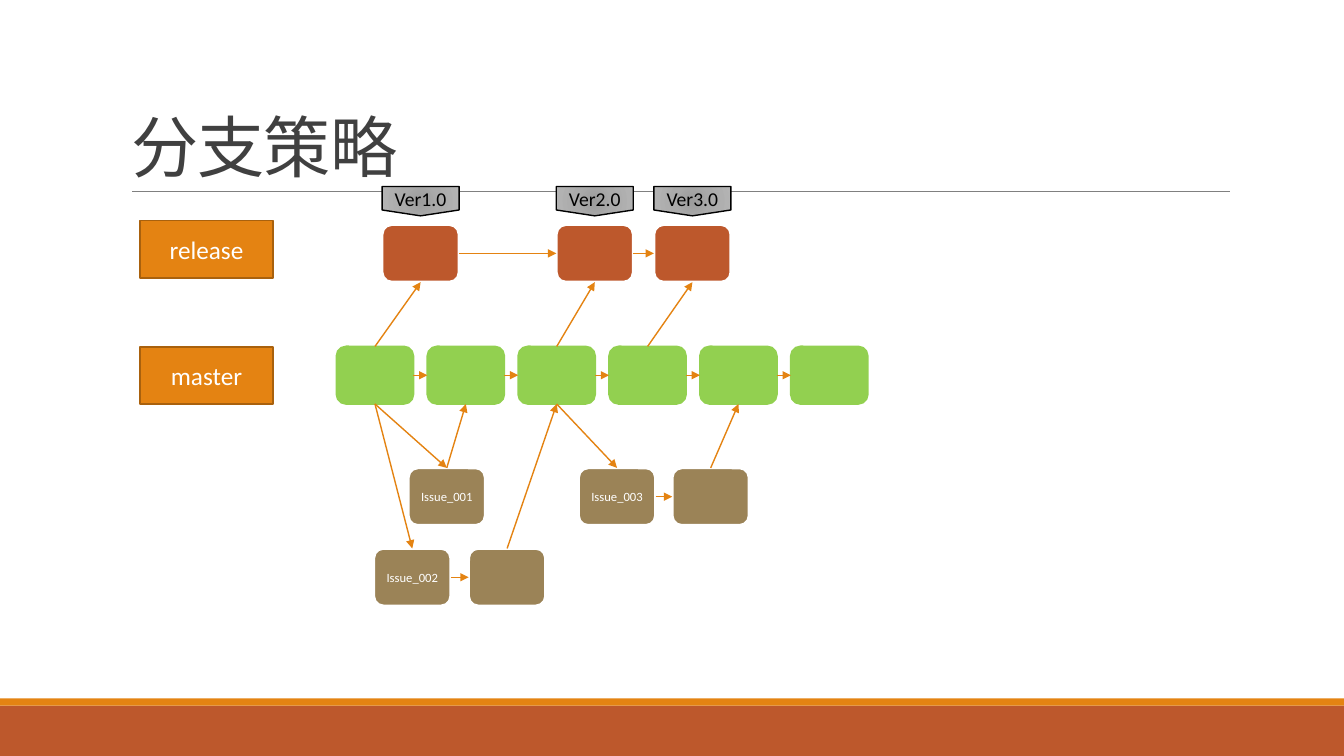
from dataclasses import dataclass

from lxml.etree import SubElement
from pptx import Presentation
from pptx.dml.color import RGBColor
from pptx.enum.shapes import MSO_CONNECTOR as Connector, MSO_SHAPE as Preset
from pptx.enum.text import MSO_ANCHOR as Anchor, PP_ALIGN as Align
from pptx.oxml.ns import qn
from pptx.util import Cm, Pt

COLORS = {
    "orange": "E48312", "orange_edge": "A9610D", "rust": "BD582C",
    "green": "92D050", "brown": "9B8357", "white": "FFFFFF",
    "black": "000000", "title": "404040", "rule": "808080",
}
TAG_GRADIENT = {0: "9C9C9C", 45: "AAAAAA", 100: "B4B4B4"}
FONT = "Calibri"
TOP, LEFT, BOTTOM, RIGHT = range(4)
NODE_WIDTH, NODE_HEIGHT = 1.94, 1.45
RELEASE_TOP, MASTER_TOP, ISSUE_TOP, LOWER_ISSUE_TOP = 5.66, 8.73, 11.79, 13.82
MASTER_LEFT, MASTER_STEP, MASTER_COUNT = 8.48, 2.29, 6


@dataclass
class Box:
    left: float
    top: float
    width: float = NODE_WIDTH
    height: float = NODE_HEIGHT
    preset: Preset = Preset.ROUNDED_RECTANGLE
    fill: str | None = "brown"
    edge: str | None = "white"
    edge_width: float = 2
    text: str = ""
    size: float = 9
    text_color: str = "white"


@dataclass
class Arrow:
    source: str
    source_side: int
    target: str
    target_side: int


def rgb(name: str) -> RGBColor:
    return RGBColor.from_string(COLORS[name])


def fill_with_gradient(shape) -> None:
    shape.fill.gradient()
    gradient = shape._element.spPr.find(qn("a:gradFill"))
    gradient.clear()
    stops = SubElement(gradient, qn("a:gsLst"))
    for position, color in TAG_GRADIENT.items():
        stop = SubElement(stops, qn("a:gs"), pos=str(position * 1000))
        SubElement(stop, qn("a:srgbClr"), val=color)
    circle = SubElement(gradient, qn("a:path"), {"path": "circle"})
    SubElement(circle, qn("a:fillToRect"), {side: "100000" for side in "ltrb"})


def draw_box(slide, box: Box):
    shape = slide.shapes.add_shape(
        box.preset, Cm(box.left), Cm(box.top), Cm(box.width), Cm(box.height))
    shape.shadow.inherit = False
    if box.fill:
        shape.fill.solid()
        shape.fill.fore_color.rgb = rgb(box.fill)
    else:
        fill_with_gradient(shape)
    if box.edge:
        shape.line.color.rgb = rgb(box.edge)
        shape.line.width = Pt(box.edge_width)
    else:
        shape.line.fill.background()
    if box.text:
        frame = shape.text_frame
        frame.text = box.text
        frame.vertical_anchor = Anchor.MIDDLE
        paragraph = frame.paragraphs[0]
        paragraph.alignment = Align.CENTER
        paragraph.font.name = FONT
        paragraph.font.size = Pt(box.size)
        paragraph.font.color.rgb = rgb(box.text_color)
    return shape


def draw_line(slide, start: tuple, end: tuple, color: str, width: float):
    line = slide.shapes.add_connector(
        Connector.STRAIGHT, *(Cm(value) for value in (*start, *end)))
    line.line.color.rgb = rgb(color)
    line.line.width = Pt(width)
    SubElement(line._element.spPr, qn("a:effectLst"))
    return line


def draw_arrow(slide, arrow: Arrow, nodes: dict) -> None:
    line = draw_line(slide, (0, 0), (1, 1), "orange", 1)
    line.begin_connect(nodes[arrow.source], arrow.source_side)
    line.end_connect(nodes[arrow.target], arrow.target_side)
    SubElement(line.line._get_or_add_ln(), qn("a:tailEnd"), type="triangle")


def format_title(title, text: str) -> None:
    title.left, title.top, title.width, title.height = (
        Cm(value) for value in (3.05, 0.79, 27.94, 4.04))
    frame = title.text_frame
    frame.text = text
    frame.vertical_anchor = Anchor.BOTTOM
    paragraph = frame.paragraphs[0]
    paragraph.alignment = Align.LEFT
    paragraph.line_spacing = 0.85
    paragraph.font.name = FONT
    paragraph.font.size = Pt(48)
    paragraph.font.color.rgb = rgb("title")
    paragraph.runs[0]._r.get_or_add_rPr().set("spc", "-50")


def main() -> None:
    presentation = Presentation()
    presentation.slide_width, presentation.slide_height = Cm(33.87), Cm(19.05)
    slide = presentation.slides.add_slide(presentation.slide_layouts[5])

    # Footer bands, title and rule
    draw_box(slide, Box(0, 17.78, 33.87, 1.27, Preset.RECTANGLE, "rust", None))
    draw_box(slide, Box(0, 17.6, 33.87, 0.18, Preset.RECTANGLE, "orange", None))
    draw_line(slide, (3.33, 4.82), (31, 4.82), "rule", 0.5)
    format_title(slide.shapes.title, "分支策略")

    # Branch labels
    for name, top in (("release", 5.56), ("master", 8.74)):
        draw_box(slide, Box(3.53, top, 3.35, 1.45, Preset.RECTANGLE, "orange",
                            "orange_edge", 1.25, name, 18))

    # Commits on each branch
    boxes = {
        f"master{i}": Box(MASTER_LEFT + i * MASTER_STEP, MASTER_TOP,
                          fill="green", edge="green", edge_width=1.25)
        for i in range(MASTER_COUNT)
    }
    release_lefts = (9.63, 14.02, 16.48)
    for number, left in enumerate(release_lefts, 1):
        boxes[f"release{number}"] = Box(left, RELEASE_TOP, fill="rust")
    boxes |= {
        "issue1": Box(10.29, ISSUE_TOP, text="Issue_001"),
        "issue2": Box(9.42, LOWER_ISSUE_TOP, text="Issue_002"),
        "issue2_next": Box(11.81, LOWER_ISSUE_TOP),
        "issue3": Box(14.58, ISSUE_TOP, text="Issue_003"),
        "issue3_next": Box(16.94, ISSUE_TOP),
    }
    nodes = {name: draw_box(slide, box) for name, box in boxes.items()}

    # Version tags above the releases
    for number, left in enumerate(release_lefts, 1):
        draw_box(slide, Box(left, 4.7, NODE_WIDTH, 0.74,
                            Preset.FLOWCHART_OFFPAGE_CONNECTOR, None, "black", 1,
                            f"Ver{number}.0", 14, "black"))

    # Arrows along a branch, then between branches
    along = [(f"master{i}", f"master{i + 1}") for i in range(MASTER_COUNT - 1)]
    along += [("release1", "release2"), ("release2", "release3"),
              ("issue2", "issue2_next"), ("issue3", "issue3_next")]
    upward = [("master0", "release1"), ("master2", "release2"),
              ("master3", "release3"), ("issue1", "master1"),
              ("issue2_next", "master2"), ("issue3_next", "master4")]
    downward = [("master0", "issue1"), ("master0", "issue2"),
                ("master2", "issue3")]
    for pairs, source_side, target_side in (
            (along, RIGHT, LEFT), (upward, TOP, BOTTOM), (downward, BOTTOM, TOP)):
        for source, target in pairs:
            draw_arrow(slide, Arrow(source, source_side, target, target_side), nodes)

    presentation.save("out.pptx")


if __name__ == "__main__":
    main()
